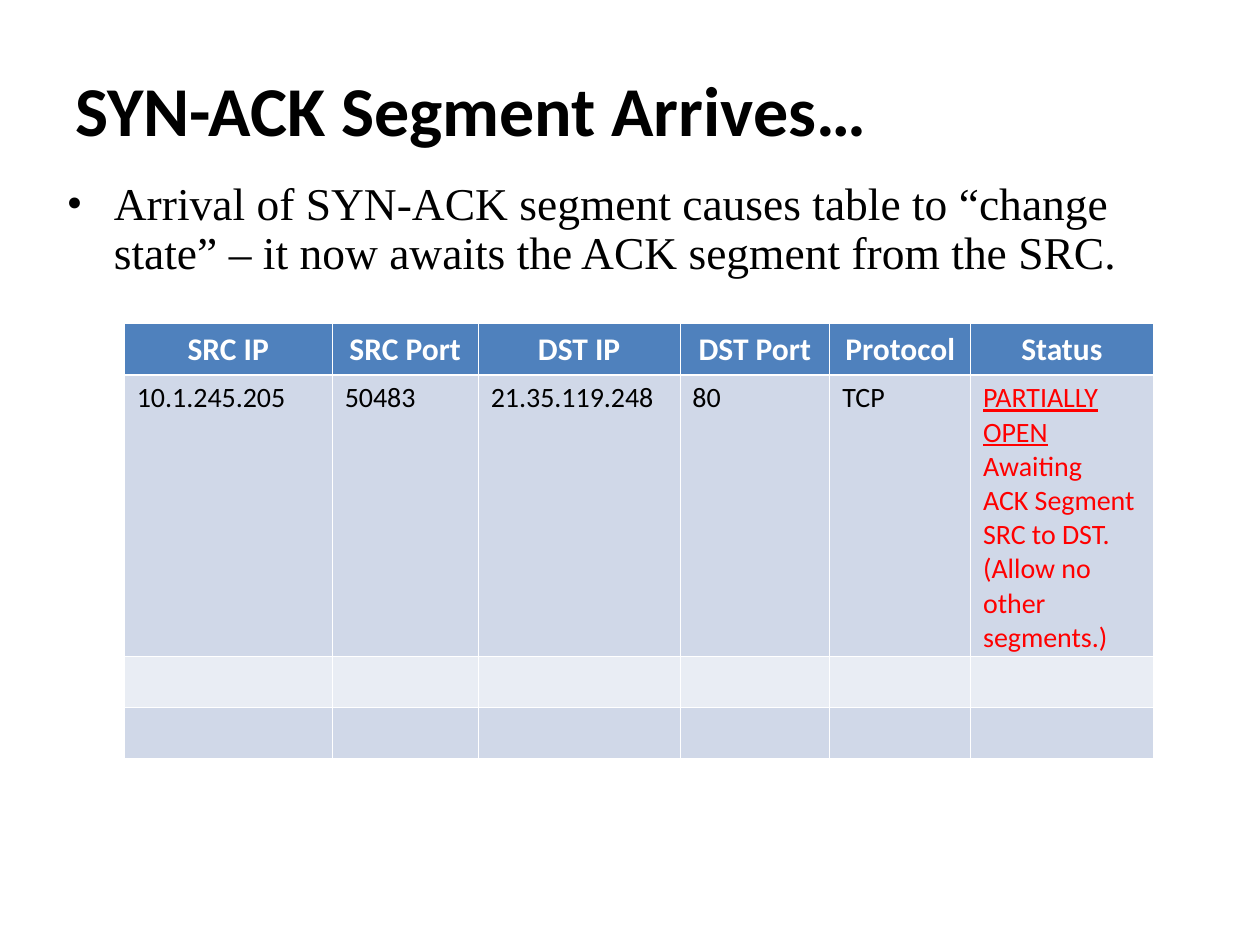
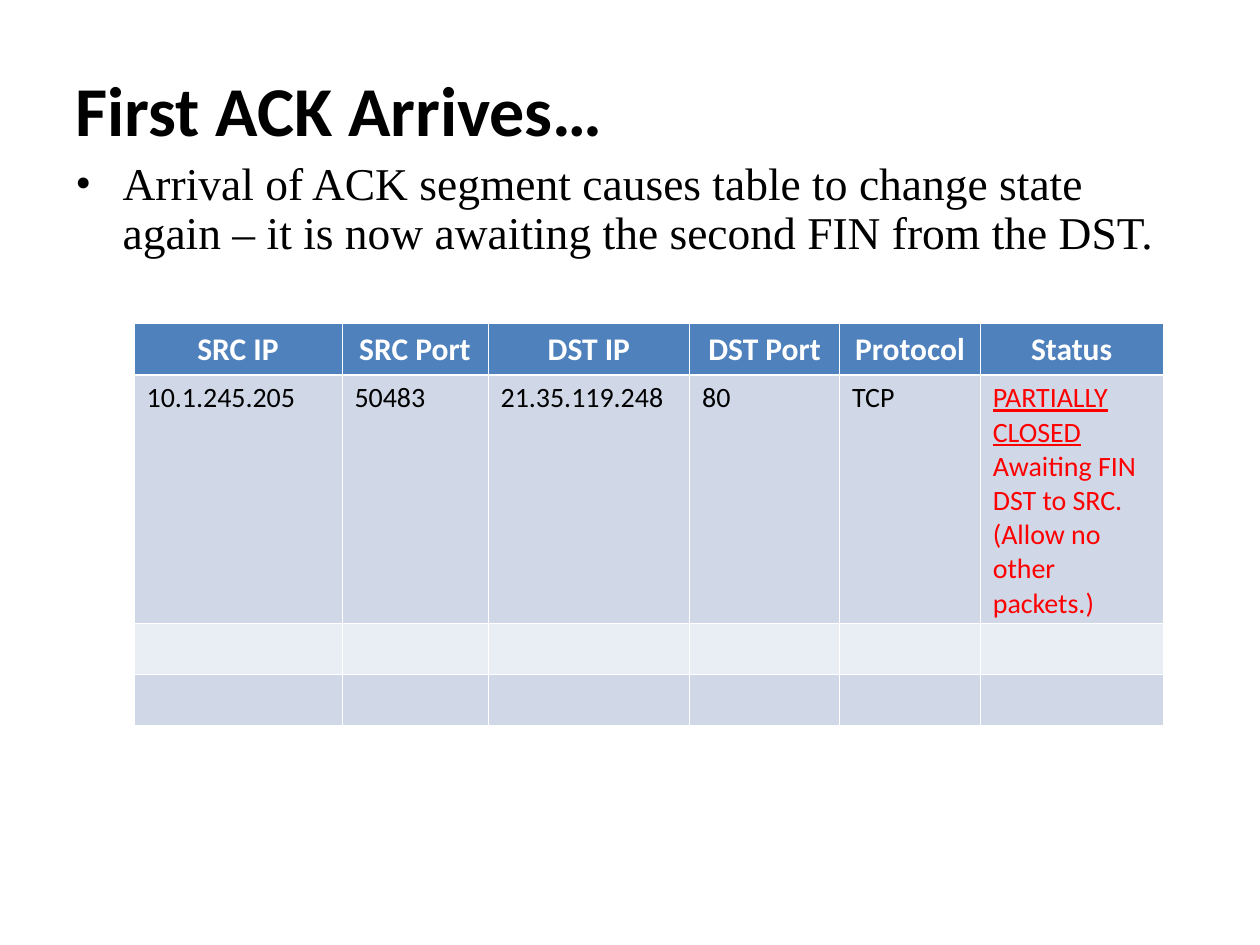
from pptx import Presentation
from pptx.dml.color import RGBColor
from pptx.enum import text
from pptx.oxml import parse_xml
from pptx.oxml.ns import nsdecls
from pptx.util import Pt

SANS, SERIF = "Calibri", "Times New Roman"
BLACK, WHITE, RED = "000000", "FFFFFF", "FF0000"
HEADER_FILL, DARK_BAND, LIGHT_BAND = "4F81BD", "D0D8E8", "E9EDF4"
THIN, THICK = 0.45, 1.47
HEADERS = ["SRC IP", "SRC Port", "DST IP", "DST Port", "Protocol", "Status"]
CONNECTION = ["10.1.245.205", "50483", "21.35.119.248", "80", "TCP"]
COLUMN_WIDTHS = [118.8, 83.5, 115.2, 85.7, 80.4, 104.4]
ROW_HEIGHT = 29.2
TABLE_TOP = 185
INDENT = 27

SLIDES = [
    {
        "title": "SYN-ACK Segment Arrives…",
        "bullet": "Arrival of SYN-ACK segment causes table to “change state” – "
                  "it now awaits the ACK segment from the SRC.",
        "bullet_at": (31, 100),
        "table_left": 71,
        "state_height": 160.6,
        "status": ["PARTIALLY OPEN", "Awaiting", "ACK Segment", "SRC to DST.",
                   "(Allow no other segments.)"],
    },
    {
        "title": "First ACK Arrives…",
        "bullet": "Arrival of ACK segment causes table to change state again – "
                  "it is now awaiting the second FIN from the DST.",
        "bullet_at": (36, 88.5),
        "table_left": 76.6,
        "state_height": 141.8,
        "status": ["PARTIALLY CLOSED", "Awaiting FIN",
                   "DST to SRC. (Allow no other packets.)"],
    },
]


def rgb(color):
    """Turn a hex string into a colour."""
    return RGBColor.from_string(color)


def add_run(p, content, size, font=SANS, color=BLACK, bold=False, underline=False):
    """Add one formatted run to a paragraph."""
    r = p.add_run()
    r.text = content
    r.font.size = Pt(size)
    r.font.name = font
    r.font.color.rgb = rgb(color)
    r.font.bold = bold
    r.font.underline = underline


def add_box(s, left, top, width, height, anchor):
    """Add a wrapping text box and return its first paragraph."""
    tf = s.shapes.add_textbox(Pt(left), Pt(top), Pt(width), Pt(height)).text_frame
    tf.word_wrap = True
    tf.vertical_anchor = anchor
    return tf.paragraphs[0]


def add_title(s, content):
    """Add the slide title."""
    p = add_box(s, 36, 22.5, 648, 78.5, text.MSO_ANCHOR.MIDDLE)
    add_run(p, content, 40, bold=True)


def add_bullet(s, content, left, top):
    """Add the bulleted explanation."""
    p = add_box(s, left, top, 648, 348.5, text.MSO_ANCHOR.TOP)
    p.line_spacing = 0.9
    pPr = p._p.get_or_add_pPr()
    pPr.set("marL", str(Pt(INDENT)))
    pPr.set("indent", str(-Pt(INDENT)))
    pPr.append(parse_xml(f'<a:buFont {nsdecls("a")} typeface="{SERIF}"/>'))
    pPr.append(parse_xml(f'<a:buChar {nsdecls("a")} char="•"/>'))
    add_run(p, content, 26, SERIF)


def style_cell(cell, row, fill):
    """Give a cell its white borders and its fill."""
    widths = {"L": THIN, "R": THIN,
              "T": THICK if row == 1 else THIN,
              "B": THICK if row == 0 else THIN}
    tcPr = cell._tc.get_or_add_tcPr()
    for side, width in widths.items():
        tcPr.append(parse_xml(
            f'<a:ln{side} {nsdecls("a")} w="{int(Pt(width))}"><a:solidFill>'
            f'<a:srgbClr val="{WHITE}"/></a:solidFill></a:ln{side}>'))
    cell.fill.solid()
    cell.fill.fore_color.rgb = rgb(fill)


def add_state_table(s, left, state_height, status):
    """Add the connection state table."""
    fills = [HEADER_FILL, DARK_BAND, LIGHT_BAND, DARK_BAND]
    heights = [ROW_HEIGHT, state_height, ROW_HEIGHT, ROW_HEIGHT]
    table = s.shapes.add_table(len(fills), len(HEADERS), Pt(left), Pt(TABLE_TOP),
                               Pt(sum(COLUMN_WIDTHS)), Pt(sum(heights))).table
    for column, width in zip(table.columns, COLUMN_WIDTHS):
        column.width = Pt(width)
    for i, (row, height, fill) in enumerate(zip(table.rows, heights, fills)):
        row.height = Pt(height)
        for cell in row.cells:
            style_cell(cell, i, fill)
    for i, header in enumerate(HEADERS):
        p = table.cell(0, i).text_frame.paragraphs[0]
        p.alignment = text.PP_ALIGN.CENTER
        add_run(p, header, 18, color=WHITE, bold=True)
    for i, value in enumerate(CONNECTION):
        add_run(table.cell(1, i).text_frame.paragraphs[0], value, 16)
    tf = table.cell(1, len(CONNECTION)).text_frame
    for i, line in enumerate(status):
        p = tf.add_paragraph() if i else tf.paragraphs[0]
        add_run(p, line, 16, color=RED, underline=i == 0)


def main():
    """Build and save the slides."""
    prs = Presentation()
    prs.slide_width, prs.slide_height = Pt(720), Pt(540)
    for content in SLIDES:
        s = prs.slides.add_slide(prs.slide_layouts[6])
        add_title(s, content["title"])
        add_state_table(s, content["table_left"], content["state_height"],
                        content["status"])
        add_bullet(s, content["bullet"], *content["bullet_at"])
    prs.save("out.pptx")


if __name__ == "__main__":
    main()
